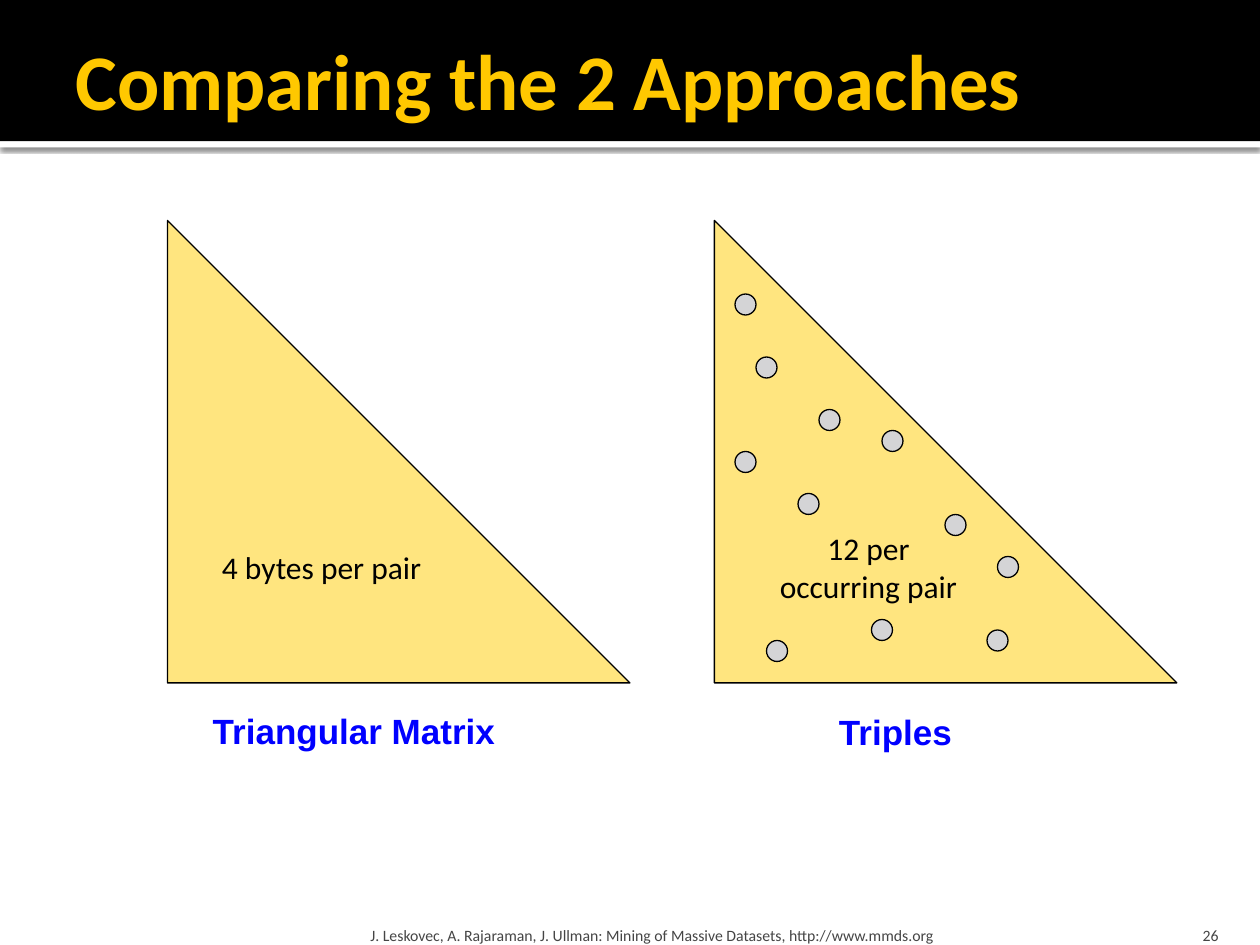
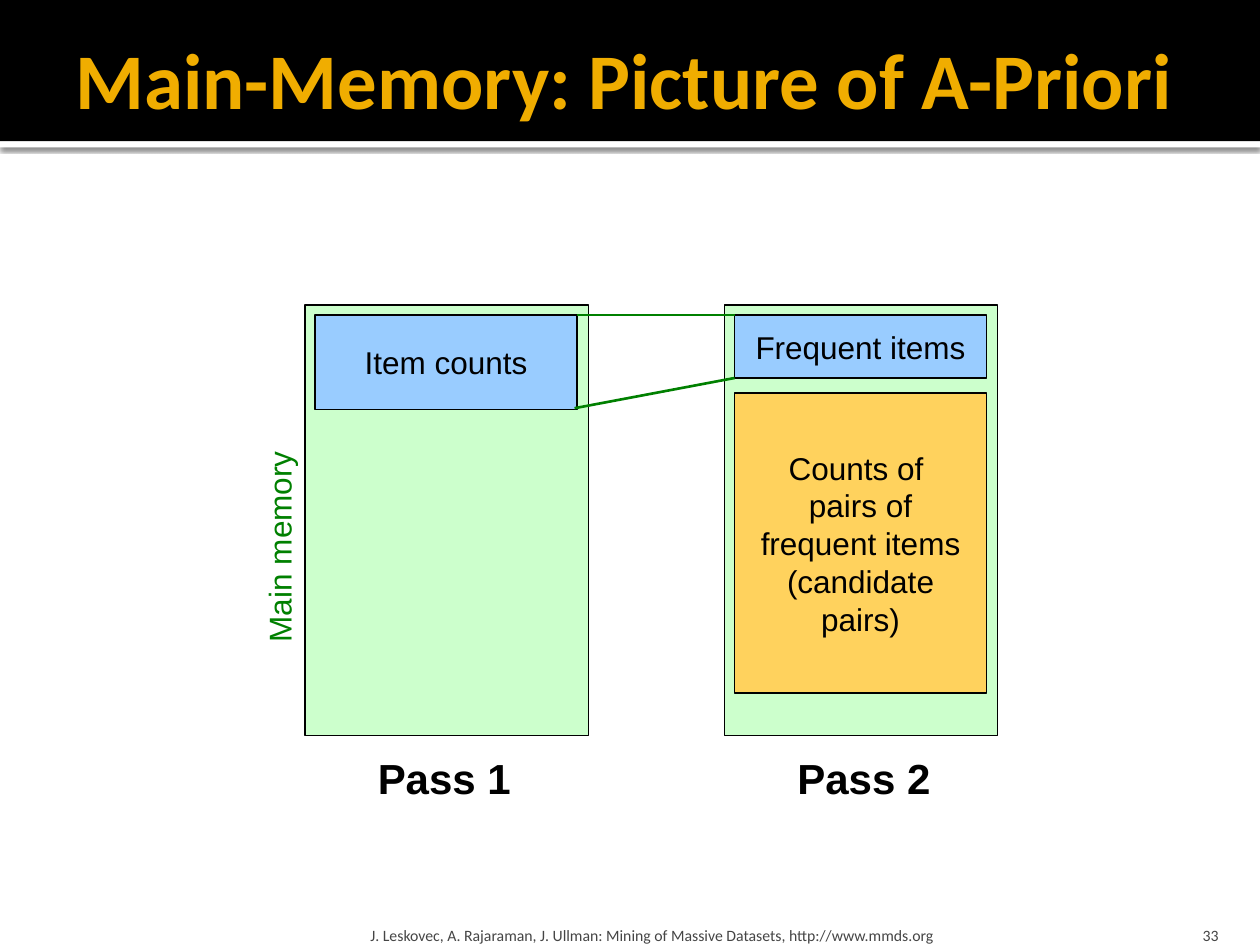
from lxml import etree
from pptx import Presentation
from pptx.dml.color import RGBColor
from pptx.enum import shapes, text
from pptx.oxml.ns import qn
from pptx.util import Inches, Pt

BLACK = RGBColor(0x00, 0x00, 0x00)
WHITE = RGBColor(0xFF, 0xFF, 0xFF)
YELLOW = RGBColor(0xFF, 0xC8, 0x00)
AMBER = RGBColor(0xF0, 0xAD, 0x00)
FOOTER_GRAY = RGBColor(0x45, 0x45, 0x45)
TRIANGLE_GOLD = RGBColor(0xFF, 0xCC, 0x00)
DOT_GRAY = RGBColor(0xD4, 0xD4, 0xD6)
CAPTION_BLUE = RGBColor(0x00, 0x00, 0xFF)
MEMORY_GREEN = RGBColor(0xCC, 0xFF, 0xCC)
ITEM_BLUE = RGBColor(0x99, 0xCC, 0xFF)
PAIR_ORANGE = RGBColor(0xFF, 0xD2, 0x5D)
DARK_GREEN = RGBColor(0x00, 0x80, 0x00)

RECT = shapes.MSO_SHAPE.RECTANGLE
CREDIT = ("J. Leskovec, A. Rajaraman, J. Ullman: Mining of Massive Datasets, "
          "http://www.mmds.org")

# Occurring pairs, as left and top in twelfths of an inch
OCCURRING_PAIRS = [(95, 53), (83, 59), (84, 41), (72, 34), (90, 49), (94, 60),
                   (73, 61), (76, 47), (78, 39), (70, 28), (70, 43)]


def write(frame, words, size, color, font="Arial", bold=False,
          align=text.PP_ALIGN.LEFT, anchor=text.MSO_ANCHOR.TOP, wrap=False):
    frame.text = words
    frame.word_wrap = wrap
    frame.vertical_anchor = anchor
    for paragraph in frame.paragraphs:
        paragraph.alignment = align
        for run in paragraph.runs:
            run.font.size = Pt(size)
            run.font.name = font
            run.font.bold = bold
            run.font.color.rgb = color


def set_insets(frame, left, top, right, bottom):
    frame.margin_left, frame.margin_top = Inches(left), Inches(top)
    frame.margin_right, frame.margin_bottom = Inches(right), Inches(bottom)


def add_block(slide, preset, box, fill, words="", font="Arial", outlined=True,
              wrap=False):
    """Add a filled preset shape with centred black text."""
    block = slide.shapes.add_shape(preset, *map(Inches, box))
    block.shadow.inherit = False
    block.fill.solid()
    block.fill.fore_color.rgb = fill
    if outlined:
        block.line.color.rgb = BLACK
        block.line.width = Pt(0.75)
    else:
        block.line.fill.background()
    if words:
        write(block.text_frame, words, 18, BLACK, font, wrap=wrap,
              align=text.PP_ALIGN.CENTER, anchor=text.MSO_ANCHOR.MIDDLE)
    return block


def add_label(slide, box, words, size, color, **style):
    label = slide.shapes.add_textbox(*map(Inches, box))
    write(label.text_frame, words, size, color, **style)
    return label


def add_triangle(slide, left, words):
    triangle = add_block(slide, shapes.MSO_SHAPE.RIGHT_TRIANGLE,
                         (left, 1.75, 3.67, 3.67), TRIANGLE_GOLD, words, "Calibri")
    color = triangle.element.spPr.find(qn("a:solidFill"))[0]
    etree.SubElement(color, qn("a:alpha"), val="50000")


def add_link(slide, start, end):
    link = slide.shapes.add_connector(
        shapes.MSO_CONNECTOR.STRAIGHT, *map(Inches, start + end))
    link.line.color.rgb = DARK_GREEN
    link.line.width = Pt(1.5)
    etree.SubElement(link.element.spPr, qn("a:effectLst"))


def add_bands(slide):
    """Draw the header bands and hand them to the layout all slides share."""
    edge = add_block(slide, RECT, (0, 1.12, 10, 0.05), WHITE, outlined=False)
    effects = edge.element.spPr.find(qn("a:effectLst"))
    shadow = etree.SubElement(effects, qn("a:outerShdw"), blurRad=str(Pt(2.5)),
                              dist=str(Pt(0.8)), dir="5400000", rotWithShape="0")
    color = etree.SubElement(shadow, qn("a:srgbClr"), val="000000")
    etree.SubElement(color, qn("a:alpha"), val="60000")
    header = add_block(slide, RECT, (0, 0, 10, 1.12), BLACK, outlined=False)
    for position, band in enumerate((edge, header), start=2):
        slide.slide_layout.shapes.element.insert(position, band.element)


def add_slide(deck, title, title_box, title_color, number):
    slide = deck.slides.add_slide(deck.slide_layouts[5])
    heading = slide.shapes.title
    heading.left, heading.top, heading.width, heading.height = map(Inches, title_box)
    frame = heading.text_frame
    write(frame, title, 45, title_color, "Calibri", bold=True,
          anchor=text.MSO_ANCHOR.MIDDLE, wrap=True)
    frame.auto_size = text.MSO_AUTO_SIZE.NONE
    set_insets(frame, 0.1, 0.05, 0.05, 0.05)

    footer_style = dict(font="Calibri", anchor=text.MSO_ANCHOR.BOTTOM, wrap=True)
    credit = add_label(slide, (2.89, 7.2, 6.02, 0.3), CREDIT, 9, FOOTER_GRAY,
                       **footer_style)
    set_insets(credit.text_frame, 0.05, 0.05, 0.05, 0)
    page = add_label(slide, (8.97, 7.2, 0.8, 0.3), number, 9, FOOTER_GRAY,
                     align=text.PP_ALIGN.RIGHT, **footer_style)
    set_insets(page.text_frame, 0.1, 0.05, 0.1, 0)
    return slide


def build_comparison(deck):
    slide = add_slide(deck, "Comparing the 2 Approaches", (0.5, 0.17, 9, 0.92),
                      YELLOW, "26")
    add_bands(slide)
    add_triangle(slide, 1.33, "4 bytes per pair")
    add_triangle(slide, 5.67, "12 per\noccurring pair")
    add_label(slide, (1.59, 5.58, 2.46, 0.44), "Triangular Matrix", 20,
              CAPTION_BLUE, bold=True)
    add_label(slide, (6.56, 5.59, 1.11, 0.44), "Triples", 20, CAPTION_BLUE, bold=True)
    for left, top in OCCURRING_PAIRS:
        add_block(slide, shapes.MSO_SHAPE.OVAL,
                  (left / 12, top / 12, 2 / 12, 2 / 12), DOT_GRAY)


def build_memory(deck):
    slide = add_slide(deck, "Main-Memory: Picture of A-Priori",
                      (0.5, 0.08, 9.25, 1.08), AMBER, "33")
    for left, width in ((2.42, 2.25), (5.75, 2.17)):
        add_block(slide, RECT, (left, 2.42, width, 3.42), MEMORY_GREEN)
    add_block(slide, RECT, (2.5, 2.5, 2.08, 0.75), ITEM_BLUE, "Item counts")
    add_block(slide, RECT, (5.83, 2.5, 2, 0.5), ITEM_BLUE, "Frequent items")
    add_block(slide, RECT, (5.83, 3.12, 2, 2.38), PAIR_ORANGE,
              "Counts of \vpairs of frequent items (candidate pairs)", wrap=True)
    add_link(slide, (4.58, 2.5), (5.83, 2.5))
    add_link(slide, (4.56, 3.24), (5.83, 3))
    for left, caption in ((2.9, "Pass 1"), (6.23, "Pass 2")):
        add_label(slide, (left, 5.92, 1.27, 0.5), caption, 24, BLACK, bold=True)
    memory = add_label(slide, (1.35, 4.13, 1.73, 0.4), "Main memory", 18, DARK_GREEN)
    memory.rotation = 270


def main():
    deck = Presentation()
    deck.slide_width, deck.slide_height = Inches(10), Inches(7.5)
    build_comparison(deck)
    build_memory(deck)
    deck.save("out.pptx")


if __name__ == "__main__":
    main()
